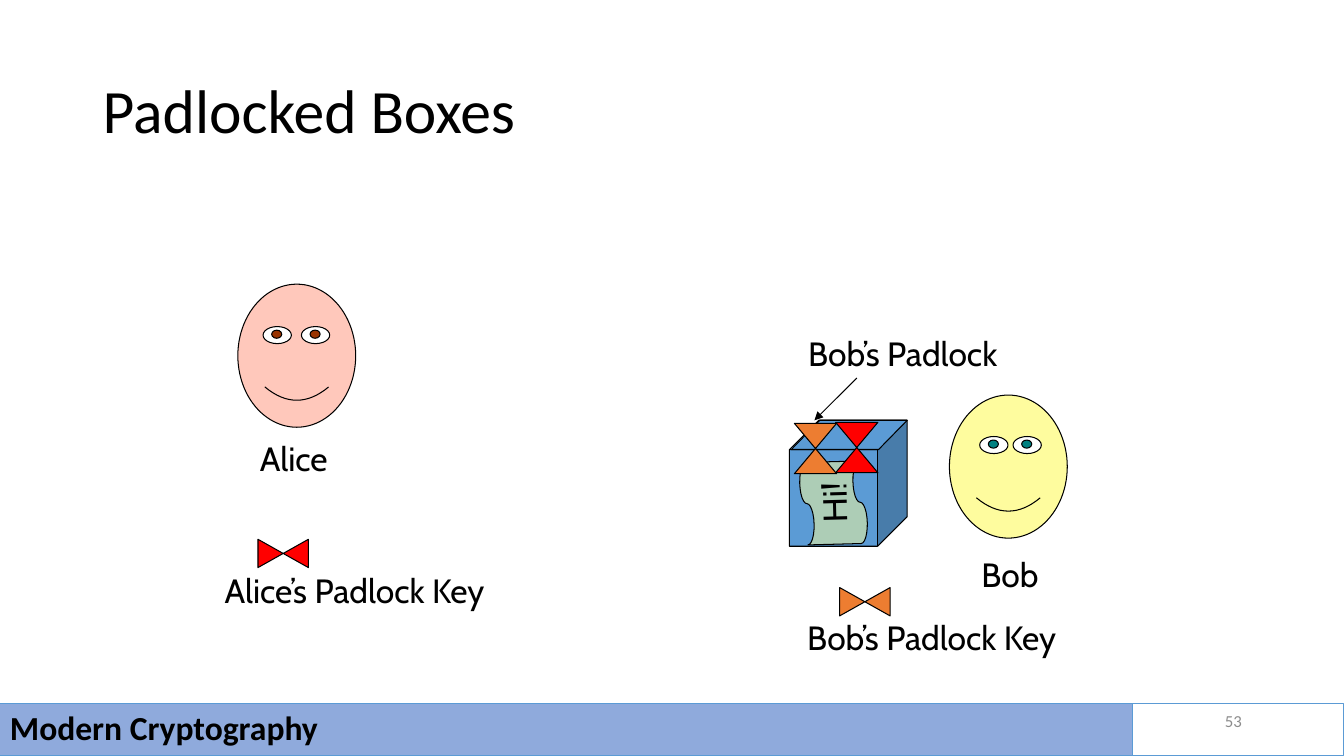
from dataclasses import dataclass
from typing import Optional

from lxml.etree import SubElement
from pptx import Presentation
from pptx.dml.color import RGBColor
from pptx.enum.shapes import MSO_CONNECTOR, MSO_SHAPE
from pptx.enum.text import MSO_ANCHOR, MSO_AUTO_SIZE, PP_ALIGN
from pptx.oxml.ns import qn
from pptx.shapes.autoshape import Shape
from pptx.slide import Slide
from pptx.text.text import TextFrame
from pptx.util import Pt


@dataclass(frozen=True)
class Theme:
    ink: str = "000000"
    white: str = "FFFFFF"
    blue: str = "5B9BD5"
    band: str = "8FAADC"
    red: str = "FF0000"
    orange: str = "ED7D31"
    paper: str = "FFFF99"
    gray: str = "8C8C8C"
    sans: str = "Calibri"
    hand: str = "Cabin"
    title: float = 44
    label: float = 24
    small: float = 12
    stroke: float = 0.75


@dataclass(frozen=True)
class Box:
    left: float
    top: float
    width: float
    height: float


@dataclass(frozen=True)
class Face:
    left: float
    top: float
    skin: str
    iris: str
    eyes: tuple[float, float]
    drop: float


@dataclass(frozen=True)
class Label:
    text: str
    box: Box
    align: PP_ALIGN = PP_ALIGN.LEFT


@dataclass(frozen=True)
class Lock:
    box: Box
    color: str
    turn: float = 0


THEME = Theme()

FACES = [
    Face(169.9, 203, "FFC8BB", "993300", (18, 45.4), 30.3),
    Face(678.2, 282.2, "FEFC9E", "008080", (21.6, 45.4), 29.6),
]

LABELS = [
    Label("Alice", Box(176.4, 309.6, 67, 36), PP_ALIGN.CENTER),
    Label("Bob", Box(692.6, 392.4, 57.6, 36), PP_ALIGN.CENTER),
    Label("Bob’s Padlock", Box(570.2, 234, 159.1, 36)),
    Label("Bob’s Padlock Key", Box(569.5, 437, 205.2, 36)),
    Label("Alice’s Padlock Key", Box(153.4, 403.2, 213.8, 36)),
]

LOCKS = [
    Lock(Box(596.9, 301.7, 30.2, 36), THEME.red),
    Lock(Box(567.4, 302.4, 30.2, 36), THEME.orange),
    Lock(Box(607.7, 411.8, 20.2, 36), THEME.orange, 270),
    Lock(Box(192.2, 377.3, 20.2, 36), THEME.red, 270),
]


def rgb(color: str) -> RGBColor:
    return RGBColor.from_string(color)


def write(frame: TextFrame, text: str, size: float, face: str,
          align: PP_ALIGN, color: str = THEME.ink, bold: bool = False) -> None:
    frame.text = text
    para = frame.paragraphs[0]
    para.alignment = align
    font = para.runs[0].font
    font.name, font.size, font.bold = face, Pt(size), bold
    font.color.rgb = rgb(color)


def place(shape: Shape, box: Box) -> None:
    shape.left, shape.top = Pt(box.left), Pt(box.top)
    shape.width, shape.height = Pt(box.width), Pt(box.height)


def draw(slide: Slide, kind: MSO_SHAPE, box: Box, fill: Optional[str],
         line: str = THEME.ink, bend: Optional[float] = None, turn: float = 0) -> Shape:
    shape = slide.shapes.add_shape(
        kind, Pt(box.left), Pt(box.top), Pt(box.width), Pt(box.height))
    shape.shadow.inherit = False
    shape.rotation = turn
    if bend is not None:
        shape.adjustments[0] = bend
    if fill is None:
        shape.fill.background()
    else:
        shape.fill.solid()
        shape.fill.fore_color.rgb = rgb(fill)
    shape.line.color.rgb = rgb(line)
    shape.line.width = Pt(THEME.stroke)
    return shape


def add_face(slide: Slide, face: Face) -> None:
    head = Box(face.left, face.top, 84.2, 102.2)
    draw(slide, MSO_SHAPE.SMILEY_FACE, head, face.skin, bend=0.047)
    for shift in face.eyes:
        left, top = face.left + shift, face.top + face.drop
        draw(slide, MSO_SHAPE.OVAL, Box(left, top, 20.2, 12.2), THEME.white)
        draw(slide, MSO_SHAPE.OVAL, Box(left + 6.2, top + 2.5, 7.2, 5.8), face.iris)


def add_label(slide: Slide, label: Label) -> None:
    shape = slide.shapes.add_textbox(0, 0, 0, 0)
    place(shape, label.box)
    frame = shape.text_frame
    frame.word_wrap = False
    frame.auto_size = MSO_AUTO_SIZE.SHAPE_TO_FIT_TEXT
    write(frame, label.text, THEME.label, THEME.hand, label.align)


def add_chest(slide: Slide) -> None:
    draw(slide, MSO_SHAPE.CUBE, Box(563.8, 300.2, 84.2, 90), THEME.blue, bend=0.25)
    draw(slide, MSO_SHAPE.PARALLELOGRAM, Box(565.2, 300.2, 82.8, 20.9),
         THEME.blue, bend=0.978)
    note = draw(slide, MSO_SHAPE.FLOWCHART_PUNCHED_TAPE,
                Box(565.9, 335.5, 59, 47.5), THEME.paper, turn=268.5)
    tint = note.fill._xPr.find(qn("a:solidFill"))[0]
    SubElement(tint, qn("a:alpha"), val="50000")
    note.text_frame.word_wrap = False
    write(note.text_frame, "Hi!", THEME.label, THEME.hand, PP_ALIGN.CENTER)


def add_arrow(slide: Slide) -> None:
    arrow = slide.shapes.add_connector(
        MSO_CONNECTOR.STRAIGHT, Pt(612), Pt(270), Pt(581.8), Pt(300.2))
    arrow.line.color.rgb = rgb(THEME.ink)
    arrow.line.width = Pt(THEME.stroke)
    SubElement(arrow.line._get_or_add_ln(), qn("a:tailEnd"), type="triangle")
    SubElement(arrow._element.spPr, qn("a:effectLst"))


def add_title(slide: Slide) -> None:
    title = slide.shapes.title
    place(title, Box(66.2, 28.8, 828, 104.4))
    frame = title.text_frame
    frame.vertical_anchor = MSO_ANCHOR.MIDDLE
    write(frame, "Padlocked Boxes", THEME.title, THEME.sans, PP_ALIGN.LEFT)
    frame.paragraphs[0].line_spacing = 0.9


def add_footer(slide: Slide) -> None:
    page = slide.shapes.add_textbox(0, 0, 0, 0)
    place(page, Box(678.2, 500.4, 216, 28.8))
    page.text_frame.word_wrap = True
    page.text_frame.vertical_anchor = MSO_ANCHOR.MIDDLE
    write(page.text_frame, "53", THEME.small, THEME.sans, PP_ALIGN.RIGHT, THEME.gray)
    split, top, high = 809.3, 502.6, 37.4
    band = draw(slide, MSO_SHAPE.RECTANGLE, Box(0, top, split, high),
                THEME.band, THEME.blue)
    write(band.text_frame, "Modern Cryptography", THEME.label, THEME.sans,
          PP_ALIGN.LEFT, bold=True)
    band.text_frame.paragraphs[0].line_spacing = 0.9
    draw(slide, MSO_SHAPE.RECTANGLE, Box(split, top, 960 - split, high),
         None, THEME.blue)


def main() -> None:
    deck = Presentation()
    deck.slide_width, deck.slide_height = Pt(960), Pt(540)
    slide = deck.slides.add_slide(deck.slide_layouts[5])
    add_title(slide)
    add_chest(slide)
    for face in FACES:
        add_face(slide, face)
    for lock in LOCKS:
        draw(slide, MSO_SHAPE.FLOWCHART_COLLATE, lock.box, lock.color, turn=lock.turn)
    for label in LABELS:
        add_label(slide, label)
    add_arrow(slide)
    add_footer(slide)
    deck.save("out.pptx")


if __name__ == "__main__":
    main()
